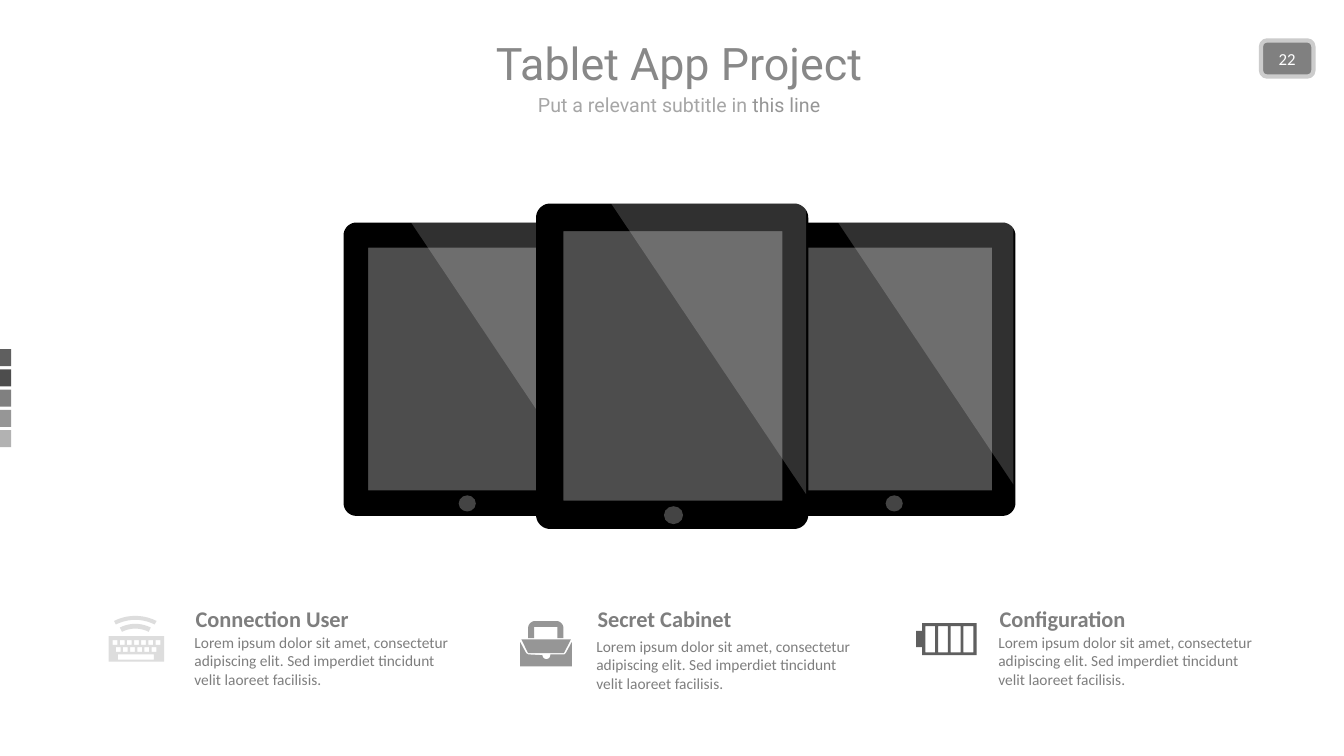
from math import cos, radians, sin

from lxml import etree
from pptx import Presentation
from pptx.dml.color import RGBColor
from pptx.enum.shapes import MSO_SHAPE
from pptx.enum.text import MSO_ANCHOR, MSO_AUTO_SIZE, PP_ALIGN
from pptx.oxml.ns import qn
from pptx.util import Cm, Pt

RECT, ROUNDED = MSO_SHAPE.RECTANGLE, MSO_SHAPE.ROUNDED_RECTANGLE
OVAL, TRIANGLE = MSO_SHAPE.OVAL, MSO_SHAPE.ISOSCELES_TRIANGLE
CENTER, LEFT = PP_ALIGN.CENTER, PP_ALIGN.LEFT
TOP, MIDDLE, BOTTOM = MSO_ANCHOR.TOP, MSO_ANCHOR.MIDDLE, MSO_ANCHOR.BOTTOM
NO_AUTOFIT = MSO_AUTO_SIZE.NONE

SIDE_COLORS = ["5F5F5F", "4D4D4D", "808080", "969696", "B2B2B2"]
LOREM = ("Lorem ipsum dolor sit amet, consectetur adipiscing elit. "
         "Sed imperdiet tincidunt velit laoreet facilisis.")


def rgb(color):
    return RGBColor.from_string(color)


def paint(shape, color):
    shape.shadow.inherit = False
    shape.fill.solid()
    shape.fill.fore_color.rgb = rgb(color)
    shape.line.fill.background()
    return shape


def add_part(shapes, kind, box, color):
    return paint(shapes.add_shape(kind, *map(Cm, box)), color)


def add_outline(shapes, origin, contours, color):
    """Draw closed contours in cm from origin; inner contours become holes."""
    left, top = origin
    contours = [[(Cm(left + x), Cm(top + y)) for x, y in c] for c in contours]
    builder = shapes.build_freeform(*contours[0][0])
    for number, (start, *rest) in enumerate(contours):
        if number:
            builder.move_to(*start)
        builder.add_line_segments(rest, close=True)
    return paint(builder.convert_to_shape(), color)


def rectangle(x, y, w, h):
    return [(x, y), (x + w, y), (x + w, y + h), (x, y + h)]


def arc(cx, cy, r, start, end, steps=10):
    angles = [radians(start + (end - start) * i / steps) for i in range(steps + 1)]
    return [(cx + r * cos(a), cy + r * sin(a)) for a in angles]


def rounded(w, h, r):
    return (arc(r, r, r, 180, 270) + arc(w - r, r, r, 270, 360)
            + arc(w - r, h - r, r, 0, 90) + arc(r, h - r, r, 90, 180))


def style(paragraph, size, font, colors, bold=False, align=LEFT):
    paragraph.alignment = align
    for run, color in zip(paragraph.runs, colors):
        run.font.size, run.font.name, run.font.bold = Pt(size), font, bold
        run.font.color.rgb = rgb(color)


def place(placeholder, box, anchor):
    placeholder.left, placeholder.top, placeholder.width, placeholder.height = map(Cm, box)
    frame = placeholder.text_frame
    frame.auto_size, frame.vertical_anchor = NO_AUTOFIT, anchor
    paragraph = frame.paragraphs[0]
    paragraph.line_spacing, paragraph.space_before = 0.9, Pt(0)
    return paragraph


def add_header(slide, box):
    left, top, width = box
    title, subtitle = slide.placeholders
    heading = place(title, (left, top, width, 1.93), BOTTOM)
    heading.text = "Tablet App Project"
    style(heading, 32, "Roboto", ["888888"], align=CENTER)
    line = place(subtitle, (left, top + 1.81, width, 1.4), TOP)
    line.text = "Put a relevant subtitle in "
    line.add_run().text = "this line"
    style(line, 14, "Roboto", ["A6A6A6", "969696"], align=CENTER)


def add_page_number(slide, box):
    badge = add_part(slide.shapes, ROUNDED, box, "808080")
    badge.line.color.rgb = rgb("CCCCCC")
    badge.line.width = Pt(3)
    badge.text_frame.text = "22"
    badge.text_frame.vertical_anchor = MIDDLE
    style(badge.text_frame.paragraphs[0], 12, "Calibri", ["FFFFFF"], align=CENTER)


def add_side_marks(slide, box, pitch):
    left, top, width, height = box
    marks = slide.shapes.add_group_shape().shapes
    for row, color in enumerate(SIDE_COLORS):
        add_part(marks, RECT, (left, top + row * pitch, width, height), color)


def add_tablet(shapes, box):
    left, top, w, h = box

    def within(x, y, width, height):
        return left + x * w, top + y * h, width * w, height * h

    add_part(shapes, RECT, within(0.06, 0.05, 0.88, 0.89), "4D4D4D")
    # Case with an opening for the screen
    opening = rectangle(0.1 * w, 0.085 * h, 0.805 * w, 0.828 * h)
    add_outline(shapes, (left, top), [rounded(w, h, 0.052 * w), opening], "000000")
    add_part(shapes, OVAL, within(0.47, 0.93, 0.07, 0.055), "444444")
    # Translucent glare
    glare = add_part(shapes, TRIANGLE, within(0.276, 0, 0.716, 0.893), "F2F2F2")
    glare.adjustments[0] = 0
    glare.rotation = 180
    tint = next(glare.fill._xPr.iter(qn("a:srgbClr")))
    etree.SubElement(tint, qn("a:alpha")).set("val", "20000")


def add_keyboard(shapes, origin):
    color = "DDDDDD"
    key_rows = [(0.1, 0.61, 7), (0.18, 0.79, 6)]
    keys = [rectangle(x + 0.18 * i, y, 0.12, 0.12)
            for x, y, count in key_rows for i in range(count)]
    space_bar = rectangle(0.23, 0.97, 0.91, 0.13)
    add_outline(shapes, origin, [rectangle(0, 0.51, 1.4, 0.64), space_bar, *keys], color)
    # Signal waves
    for center_y, radius, thickness in [(1.06, 0.86, 0.12), (1.18, 1.18, 0.1)]:
        wave = (arc(0.67, center_y, radius, 243, 297)
                + arc(0.67, center_y, radius - thickness, 297, 243))
        add_outline(shapes, origin, [wave], color)


def add_briefcase(shapes, origin):
    lid = [(0.03, 0.46), (1.28, 0.46), (1.1, 0.81), (0.2, 0.81)]
    body = [(0, 0.53), (0.15, 0.81), (0.2, 0.84), *arc(0.66, 0.86, 0.1, 180, 0),
            (0.76, 0.84), (1.12, 0.84), (1.15, 0.81), (1.3, 0.53), (1.3, 1.14), (0, 1.14)]
    handle = [(0.2, 0.43), *arc(0.38, 0.18, 0.18, 180, 270), *arc(0.91, 0.18, 0.18, 270, 360),
              (1.09, 0.43), (0.94, 0.43), (0.94, 0.15), (0.35, 0.15), (0.35, 0.43)]
    for contour in (lid, body, handle):
        add_outline(shapes, origin, [contour], "969696")


def add_battery(shapes, origin):
    case = [(0.15, 0), (1.52, 0), (1.52, 0.81), (0.15, 0.81),
            (0.15, 0.61), (0, 0.61), (0, 0.2), (0.15, 0.2)]
    cells = [rectangle(0.23 + 0.32 * i, 0.08, 0.25, 0.66) for i in range(4)]
    add_outline(shapes, origin, [case, *cells], "5F5F5F")


def add_feature(slide, origin, name, detail_drop, draw_icon, icon_origin):
    left, top = origin
    shapes = slide.shapes.add_group_shape().shapes
    heading = shapes.add_textbox(Cm(left), Cm(top), Cm(3.9), Cm(0.69)).text_frame
    heading.margin_left = heading.margin_right = heading.margin_top = heading.margin_bottom = 0
    heading.word_wrap = False
    heading.text = name
    style(heading.paragraphs[0], 16, "Calibri", ["7E7E7E"], bold=True)
    detail = shapes.add_textbox(Cm(left - 0.28), Cm(top + detail_drop), Cm(7.18), Cm(1.7)).text_frame
    detail.word_wrap = True
    detail.text = LOREM
    style(detail.paragraphs[0], 11, "Calibri", ["7E7E7E"])
    draw_icon(shapes, icon_origin)


def main():
    deck = Presentation()
    deck.slide_width, deck.slide_height = Cm(33.87), Cm(19.05)
    slide = deck.slides.add_slide(deck.slide_layouts[0])

    add_header(slide, (2.51, 0.48, 29.21))
    add_page_number(slide, (31.78, 1.02, 1.32, 0.91))
    add_side_marks(slide, (0, 8.8, 0.28, 0.43), 0.51)

    # Tablets, the middle one in front
    tablets = slide.shapes.add_group_shape().shapes
    for box in [(8.66, 5.61, 6.17, 7.39), (19.42, 5.61, 6.17, 7.39), (13.51, 5.13, 6.86, 8.2)]:
        add_tablet(tablets, box)

    # Features below the tablets
    features = [("Connection User", 0.58, add_keyboard, (2.74, 15.52)),
                ("Secret Cabinet", 0.69, add_briefcase, (13.11, 15.65)),
                ("Configuration", 0.58, add_battery, (23.09, 15.7))]
    for column, feature in enumerate(features):
        add_feature(slide, (4.93 + 10.13 * column, 15.24), *feature)

    deck.save("out.pptx")


if __name__ == "__main__":
    main()
